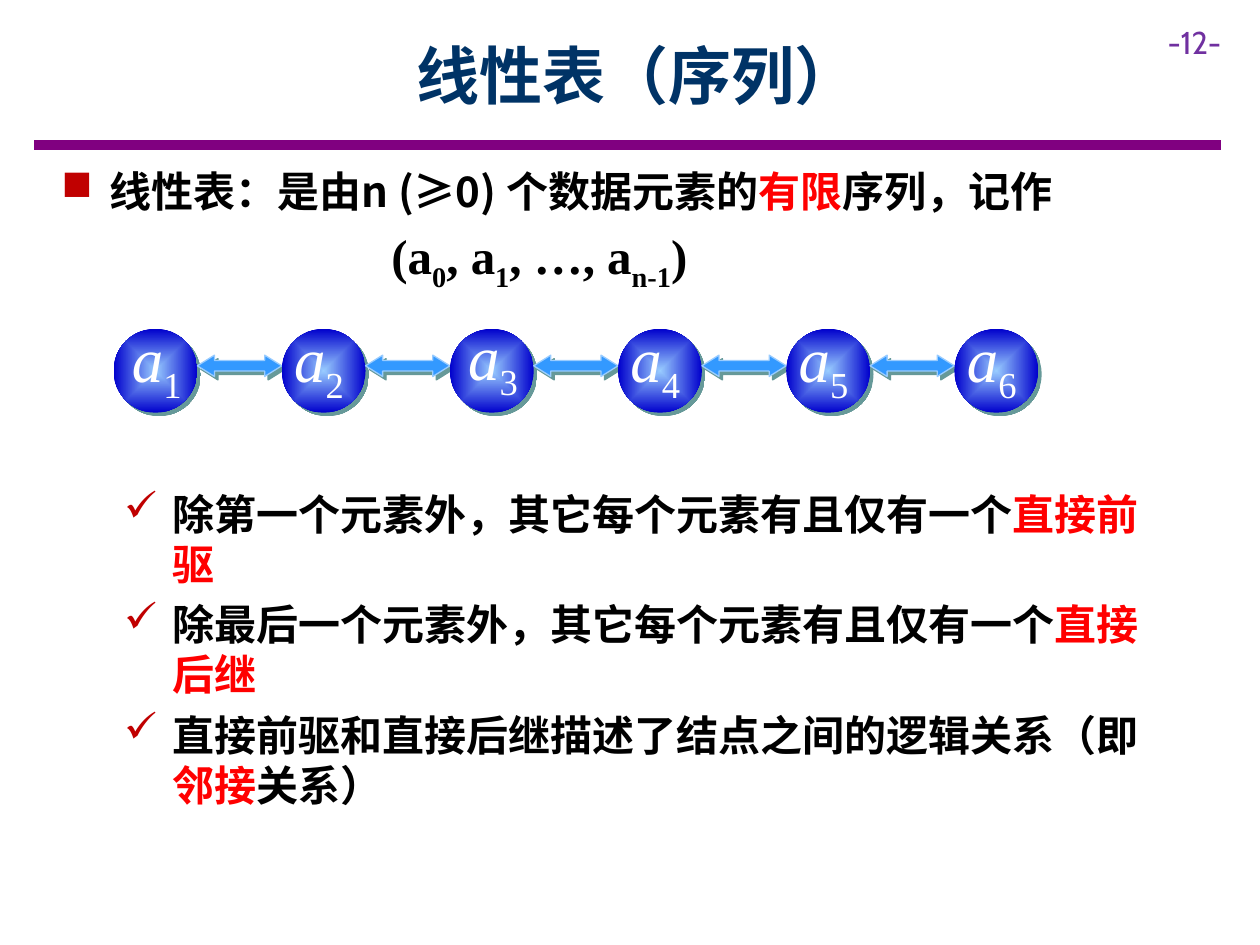
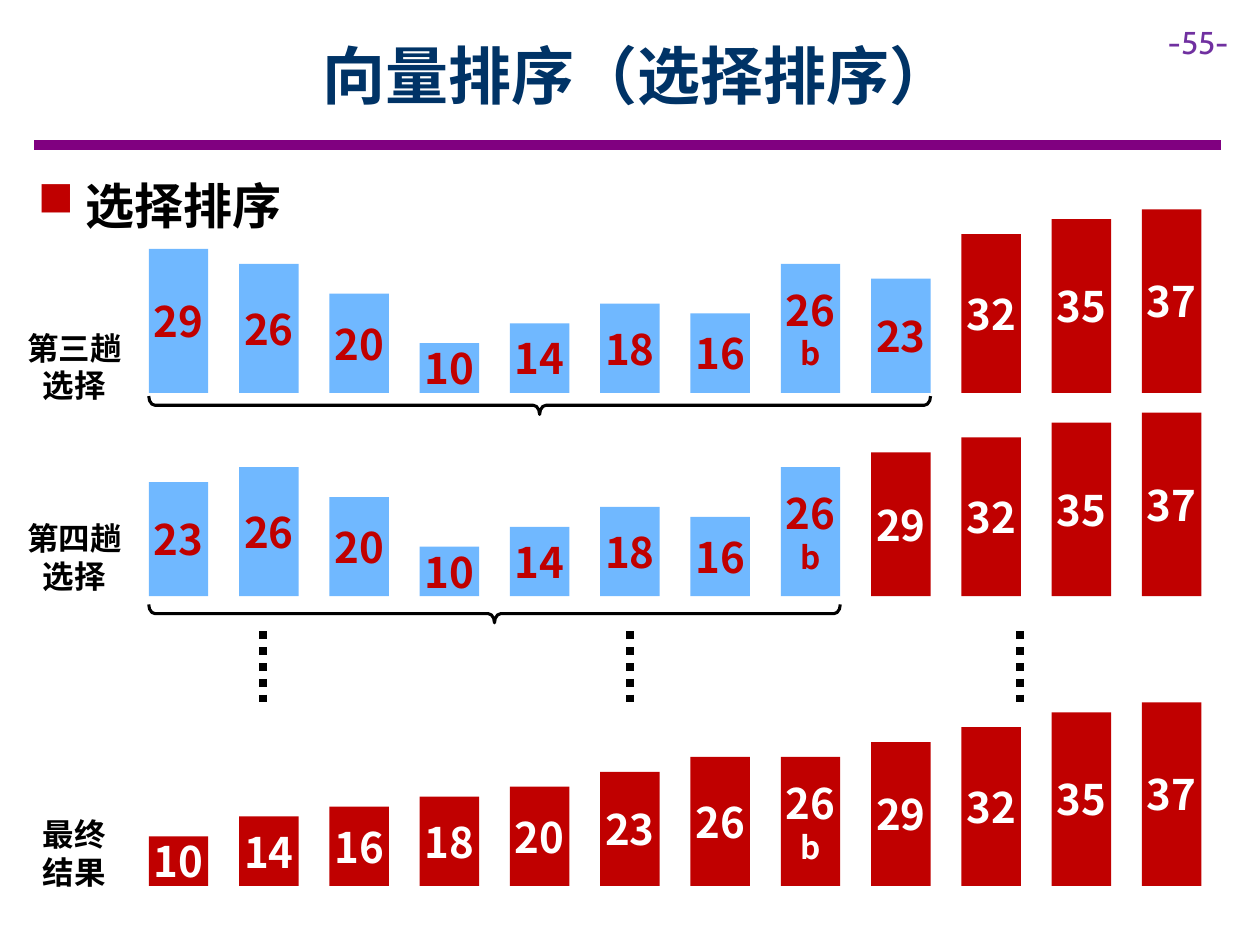
from dataclasses import dataclass
from lxml.etree import SubElement
from pptx import Presentation
from pptx.dml.color import RGBColor as RGB
from pptx.enum.dml import MSO_LINE as Dash
from pptx.enum.shapes import MSO_CONNECTOR as Link, MSO_SHAPE as Shape
from pptx.enum.text import MSO_ANCHOR as Anchor, PP_ALIGN as Align
from pptx.oxml.ns import qn
from pptx.util import Cm, Pt


@dataclass(frozen=True)
class Theme:
    sans: str = "Noto Sans CJK SC"
    serif: str = "Times New Roman"
    page: str = "Cabin"
    black: str = "000000"
    white: str = "FFFFFF"
    navy: str = "003366"
    rule: str = "800080"
    violet: str = "7030A0"
    red: str = "FF0000"
    dark: str = "C00000"
    bar: str = "70B8FF"
    arrow: str = "3399FF"
    pale: str = "99CCFF"
    deep: str = "0000CC"
    shade: str = "669999"
    title: int = 36
    head: int = 28
    body: int = 24
    small: int = 18
    pitch: float = 1.19  # line height of tight text, in ems


T = Theme()
KEY = {"color": T.red}
SUB = {"base": -25000, "italic": False}


def write(shape, *runs, size=T.body, color=T.black, font=T.sans, bold=True,
          italic=False, align=None, bullet=None, left=0, hang=0,
          before=0, after=0, tight=False):
    """Add one paragraph; a run is a string or (string, changed format)."""
    frame = shape.text_frame
    para = frame.paragraphs[0] if not frame.text else frame.add_paragraph()
    para.alignment = align
    para.space_before, para.space_after = Pt(before), Pt(after)
    if tight:
        para.line_spacing = Pt(size * T.pitch)
    props = para._p.get_or_add_pPr()
    props.set("marL", str(Cm(left)))
    props.set("indent", str(-Cm(hang)))
    if bullet:
        tint = SubElement(props, qn("a:buClr"))
        SubElement(tint, qn("a:srgbClr"), val=T.dark)
        SubElement(props, qn("a:buFont"), typeface="Wingdings")
        SubElement(props, qn("a:buChar"), char=bullet)
    else:
        SubElement(props, qn("a:buNone"))
    for item in runs:
        text, diff = (item, {}) if isinstance(item, str) else item
        run = para.add_run()
        run.text = text
        face = run.font
        face.size, face.bold = Pt(size), bold
        face.italic = diff.get("italic", italic)
        face.color.rgb = RGB.from_string(diff.get("color", color))
        face.name = font
        mark = run._r.get_or_add_rPr()
        SubElement(mark, qn("a:ea"), typeface=font)
        if "base" in diff:
            mark.set("baseline", str(diff["base"]))


def draw(slide, kind, x, y, w, h, fill=None, line=None, width=0.75, cast=False):
    """Add a shape, a line (Link kind) or a text box (kind None), in cm."""
    shapes = slide.shapes
    if kind is None:
        item = shapes.add_textbox(Cm(x), Cm(y), Cm(w), Cm(h))
        item.text_frame.word_wrap = True
        return item
    if kind == Link.STRAIGHT and fill is None:
        item = shapes.add_connector(kind, Cm(x), Cm(y), Cm(x + w), Cm(y + h))
        SubElement(item._element.spPr, qn("a:effectLst"))
    else:
        item = shapes.add_shape(kind, Cm(x), Cm(y), Cm(w), Cm(h))
        item.shadow.inherit = False
        item.fill.solid()
        item.fill.fore_color.rgb = RGB.from_string(fill)
    if line:
        item.line.color.rgb = RGB.from_string(line)
        item.line.width = Pt(width)
    else:
        item.line.fill.background()
    if cast:
        glow = item._element.spPr.find(qn("a:effectLst"))
        drop = SubElement(glow, qn("a:outerShdw"), dist=str(Pt(2.8)),
                          dir="2700000", algn="ctr", rotWithShape="0")
        SubElement(drop, qn("a:srgbClr"), val=T.shade)
    return item


deck = Presentation()
deck.slide_width, deck.slide_height = Cm(25.4), Cm(19.05)

# Frame shared by both slides
slides = []
for name, page in (("线性表（序列）", "-12-"), ("向量排序（选择排序）", "-55-")):
    slide = deck.slides.add_slide(deck.slide_layouts[5])
    draw(slide, Link.STRAIGHT, 0.69, 2.92, 23.92, 0, line=T.rule, width=6)
    write(draw(slide, None, 23.29, 0.33, 2.11, 1.02), page,
          size=T.small, color=T.violet, font=T.page, bold=False)
    title = slide.shapes.title
    title.left, title.top = Cm(2.29), Cm(0.23)
    title.width, title.height = Cm(21.11), Cm(2.54)
    title.text_frame.vertical_anchor = Anchor.MIDDLE
    write(title, name, size=T.title, color=T.navy, align=Align.CENTER)
    slides.append(slide)
chain, sort = slides

# Linear list: definition, formula and properties
body = draw(chain, None, 0.99, 3.21, 22.3, 14)
write(body, "线性表：是由n (≥0) 个数据元素的", ("有限", KEY), "序列，记作",
      bullet="n", left=0.97, hang=0.97, after=6, tight=True)
write(body, "(a", ("0", SUB), ", a", ("1", SUB), ", …, a", ("n-1", SUB), ")",
      size=T.head, font=T.serif, left=6.65, after=6)
facts = (
    ("除第一个元素外，其它每个元素有且仅有一个", ("直接前驱", KEY)),
    ("除最后一个元素外，其它每个元素有且仅有一个", ("直接后继", KEY)),
    ("直接前驱和直接后继描述了结点之间的逻辑关系（即", ("邻接", KEY), "关系）"),
)
for i, fact in enumerate(facts):
    write(body, *fact, bullet="ü", left=2.23, hang=0.97,
          before=0 if i else 106, after=6, tight=True)

# Chain of nodes
count, size, step = 6, 1.69, 3.39
for i in range(count):
    x = 2.29 + i * step
    node = draw(chain, Shape.OVAL, x, 6.63, size, size, fill=T.deep, cast=True)
    node.fill.gradient()
    for stop, color in zip(node.fill.gradient_stops, (T.pale, T.deep)):
        stop.color.rgb = RGB.from_string(color)
    grad = node._element.spPr.find(qn("a:gradFill"))
    grad.remove(grad.find(qn("a:lin")))
    focus = SubElement(grad, qn("a:path"), path="shape")
    SubElement(focus, qn("a:fillToRect"), l="50000", t="50000", r="50000", b="50000")
    if i < count - 1:
        arrow = draw(chain, Shape.LEFT_RIGHT_ARROW, x + size, 7.16, step - size, 0.43,
                     fill=T.arrow, line=T.pale, cast=True)
        arrow.adjustments[0], arrow.adjustments[1] = 0.5, 0.8
    nudge = 0.12 if i in (0, 2) else 0
    label = draw(chain, None, x + nudge, 6.27 if i == 2 else 6.32, 1.57, 1.78)
    label.text_frame.word_wrap = False
    write(label, "a", (str(i + 1), SUB), size=T.title, color=T.white,
          font=T.serif, bold=False, italic=True)

# Selection sort: one row of bars for each pass
write(draw(sort, None, 0.51, 3.43, 24, 1.45), "选择排序", size=T.head,
      bullet="n", left=0.97, hang=0.97, after=6, tight=True)
start, step, wide, unit = 3, 1.82, 1.2, 0.1
# label, label top, base line, values, unsorted count, brace middle
rows = (
    (("第三趟", "选择"), 6.51, 7.92,
     "29 26 20 10 14 18 16 26b 23 32 35 37", 9, 8.17),
    (("第四趟", "选择"), 10.35, 12.02,
     "23 26 20 10 14 18 16 26b 29 32 35 37", 8, 12.37),
    (("最终", "结果"), 16.32, 17.86,
     "10 14 16 18 20 23 26 26b 29 32 35 37", 0, None),
)
for words, top, base, values, left, mid in rows:
    if left:
        span, thick = (left - 1) * step + wide, 0.37
        brace = draw(sort, Shape.LEFT_BRACE, start + (span - thick) / 2,
                     mid - span / 2, thick, span, T.white, T.black, 1.75)
        brace.rotation = 270
        brace.adjustments[0], brace.adjustments[1] = 0.34, 0.5
    for i, value in enumerate(values.split()):
        digits, tag = value[:2], value[2:]
        tall = int(digits) * unit
        fill, ink = (T.bar, T.dark) if i < left else (T.dark, T.white)
        bar = draw(sort, Shape.RECTANGLE, start + i * step, base - tall, wide, tall, fill)
        frame = bar.text_frame
        frame.vertical_anchor = Anchor.MIDDLE
        frame.margin_left = frame.margin_right = 0
        frame.margin_top = frame.margin_bottom = 0
        write(bar, digits, color=ink, align=Align.CENTER)
        if tag:
            write(bar, tag, size=T.small, color=ink, align=Align.CENTER, tight=True)
    label = draw(sort, None, 0.28, top, 2.44, 1.8)
    for word in words:
        write(label, word, size=T.small, align=Align.CENTER, tight=True)

# Passes left out
for x in (5.31, 12.7, 20.57):
    dots = draw(sort, Link.STRAIGHT, x, 12.73, 0, 1.42, line=T.black, width=4.5)
    dots.line.dash_style = Dash.ROUND_DOT

deck.save("out.pptx")
